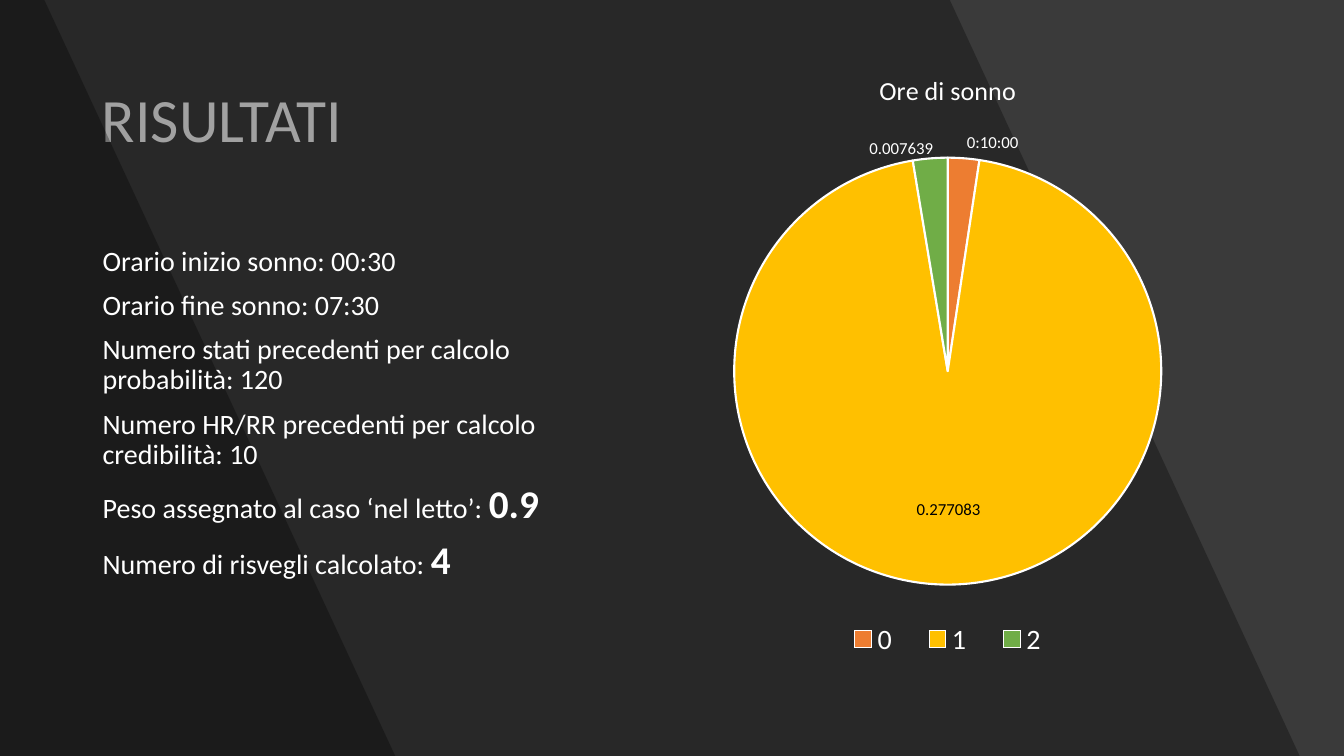
"""Build the sleep results slide: settings on the left, pie chart on the right."""
from typing import NamedTuple

from lxml.etree import SubElement
from pptx import Presentation
from pptx.chart.data import CategoryChartData
from pptx.dml.color import RGBColor
from pptx.enum.chart import XL_CHART_TYPE, XL_LABEL_POSITION, XL_LEGEND_POSITION
from pptx.enum.text import MSO_ANCHOR, PP_ALIGN
from pptx.oxml import parse_xml
from pptx.oxml.ns import nsdecls, qn
from pptx.util import Inches, Pt

FONT = "Calibri"
W, H = 13.33, 7.5
COLORS = {
    "back": "404040", "shade": "000000", "text": "FFFFFF", "dark": "000000",
    "orange": "ED7D31", "yellow": "FFC000", "green": "70AD47",
}


class Band(NamedTuple):
    top_right: float
    bottom_right: float
    opacity: int


class Fact(NamedTuple):
    text: str
    strong: str = ""


class Slice(NamedTuple):
    name: str
    value: float
    label: str
    color: str
    label_color: str
    position: XL_LABEL_POSITION
    shift: tuple[float, float]


BANDS = [Band(W, W, 9), Band(9.42, 12.89, 30), Band(0.44, 3.92, 30)]
FACTS = [
    Fact("Orario inizio sonno: 00:30"),
    Fact("Orario fine sonno: 07:30"),
    Fact("Numero stati precedenti per calcolo probabilità: 120"),
    Fact("Numero HR/RR precedenti per calcolo credibilità: 10"),
    Fact("Peso assegnato al caso ‘nel letto’: ", "0.9"),
    Fact("Numero di risvegli calcolato: ", "4"),
]
OUT, MID = XL_LABEL_POSITION.OUTSIDE_END, XL_LABEL_POSITION.CENTER
SLICES = [
    Slice("0", 0.00694, "0:10:00", "orange", "text", OUT, (0.04, 0)),
    Slice("1", 0.277083, "0.277083", "yellow", "dark", MID, (0, 0.05)),
    Slice("2", 0.007639, "0.007639", "green", "text", OUT, (-0.04, 0.01)),
]


def rgb(name: str) -> RGBColor:
    return RGBColor.from_string(COLORS[name])


def style(font, size: float, color: str = "text") -> None:
    font.name, font.size, font.bold = FONT, Pt(size), False
    font.color.rgb = rgb(color)


def manual_layout(inner: str) -> object:
    return parse_xml(f"<c:layout {nsdecls('c')}><c:manualLayout>{inner}"
                     "</c:manualLayout></c:layout>")


def box_layout(x: float, y: float, w: float, h: float, target: str = "") -> object:
    return manual_layout(
        f'{target}<c:xMode val="edge"/><c:yMode val="edge"/>'
        f'<c:x val="{x}"/><c:y val="{y}"/><c:w val="{w}"/><c:h val="{h}"/>')


def set_layout(parent, layout, index: int) -> None:
    for old in parent.findall(qn("c:layout")):
        parent.remove(old)
    parent.insert(index, layout)


def add_band(s, band: Band) -> None:
    fb = s.shapes.build_freeform(0, 0)
    fb.add_line_segments([
        (Inches(band.top_right), 0),
        (Inches(band.bottom_right), Inches(H)),
        (0, Inches(H)),
    ])
    sp = fb.convert_to_shape()
    sp.shadow.inherit = False
    sp.line.fill.background()
    sp.fill.solid()
    sp.fill.fore_color.rgb = rgb("shade")
    clr = next(sp.fill._xPr.iter(qn("a:srgbClr")))
    SubElement(clr, qn("a:alpha")).set("val", str(band.opacity * 1000))


def add_title(s, text: str) -> None:
    sp = s.shapes.title
    sp.left, sp.top, sp.width, sp.height = map(Inches, (0.91, 0.49, 11.51, 1.45))
    tf = sp.text_frame
    tf.text, tf.vertical_anchor = text, MSO_ANCHOR.MIDDLE
    p = tf.paragraphs[0]
    p.alignment, p.line_spacing = PP_ALIGN.LEFT, 0.9
    style(p.runs[0].font, 44)


def add_facts(s, facts: list[Fact]) -> None:
    tf = s.shapes.add_textbox(*map(Inches, (0.92, 2.4, 5.4, 4.36))).text_frame
    tf.word_wrap = True
    for i, fact in enumerate(facts):
        p = tf.add_paragraph() if i else tf.paragraphs[0]
        p.line_spacing, p.space_before = 0.9, Pt(10)
        style(p.font, 20)
        p.add_run().text = fact.text
        if fact.strong:
            r = p.add_run()
            r.text, r.font.size, r.font.bold = fact.strong, Pt(28), True


def add_label(point, item: Slice) -> None:
    label = point.data_label
    label.text_frame.text = item.label
    p = label.text_frame.paragraphs[0]
    for font in (p.font, p.runs[0].font):
        style(font, 12, item.label_color)
    label.position = item.position


def add_pie(s, title: str, slices: list[Slice]) -> None:
    data = CategoryChartData()
    data.categories = [item.name for item in slices] + [""]
    data.add_series(title, [item.value for item in slices] + [None])
    chart = s.shapes.add_chart(
        XL_CHART_TYPE.PIE, *map(Inches, (5.87, 0.49, 7.06, 6.26)), data).chart
    style(chart.font, 12)
    chart.has_title = True
    tf = chart.chart_title.text_frame
    tf.text = title
    style(tf.paragraphs[0].font, 18.6)
    chart.has_legend = True
    chart.legend.position = XL_LEGEND_POSITION.BOTTOM
    chart.legend.include_in_layout = False
    style(chart.legend.font, 20)

    plot = chart.plots[0]
    plot.vary_by_categories = True
    labels = plot.series[0].data_labels
    labels.show_value = True
    style(labels.font, 12)
    for i, item in enumerate(slices):
        point = plot.series[0].points[i]
        point.format.fill.solid()
        point.format.fill.fore_color.rgb = rgb(item.color)
        point.format.line.color.rgb = rgb("text")
        point.format.line.width = Pt(1.5)
        add_label(point, item)

    root = chart._chartSpace
    set_layout(root.find(".//" + qn("c:plotArea")), box_layout(
        0.2, 0.17, 0.6, 0.68, '<c:layoutTarget val="inner"/>'), 0)
    for item, node in zip(slices, root.iter(qn("c:dLbl"))):
        x, y = item.shift
        set_layout(node, manual_layout(f'<c:x val="{x}"/><c:y val="{y}"/>'), 1)
    for node in root.iter(qn("c:showLeaderLines")):
        node.set("val", "0")
    legend = root.find(".//" + qn("c:legend"))
    legend.insert(1, parse_xml(
        f'<c:legendEntry {nsdecls("c")}><c:idx val="{len(slices)}"/>'
        '<c:delete val="1"/></c:legendEntry>'))
    set_layout(legend, box_layout(0.33, 0.9, 0.34, 0.07), 2)


def main() -> None:
    prs = Presentation()
    prs.slide_width, prs.slide_height = Inches(W), Inches(H)
    s = prs.slides.add_slide(prs.slide_layouts[5])
    s.background.fill.solid()
    s.background.fill.fore_color.rgb = rgb("back")
    for band in BANDS:
        add_band(s, band)
    add_title(s, "RISULTATI")
    add_facts(s, FACTS)
    add_pie(s, "Ore di sonno", SLICES)
    prs.save("out.pptx")


main()
